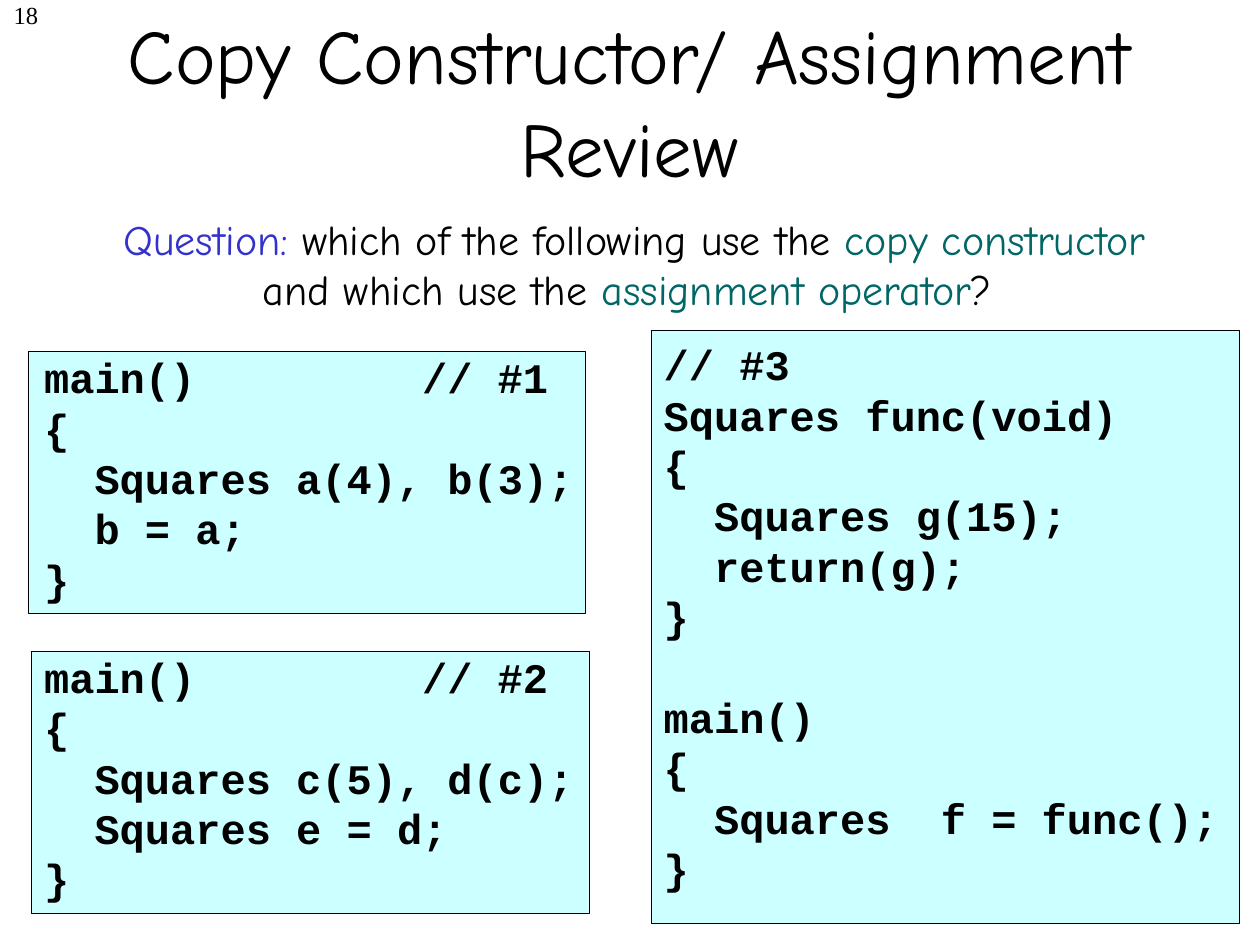
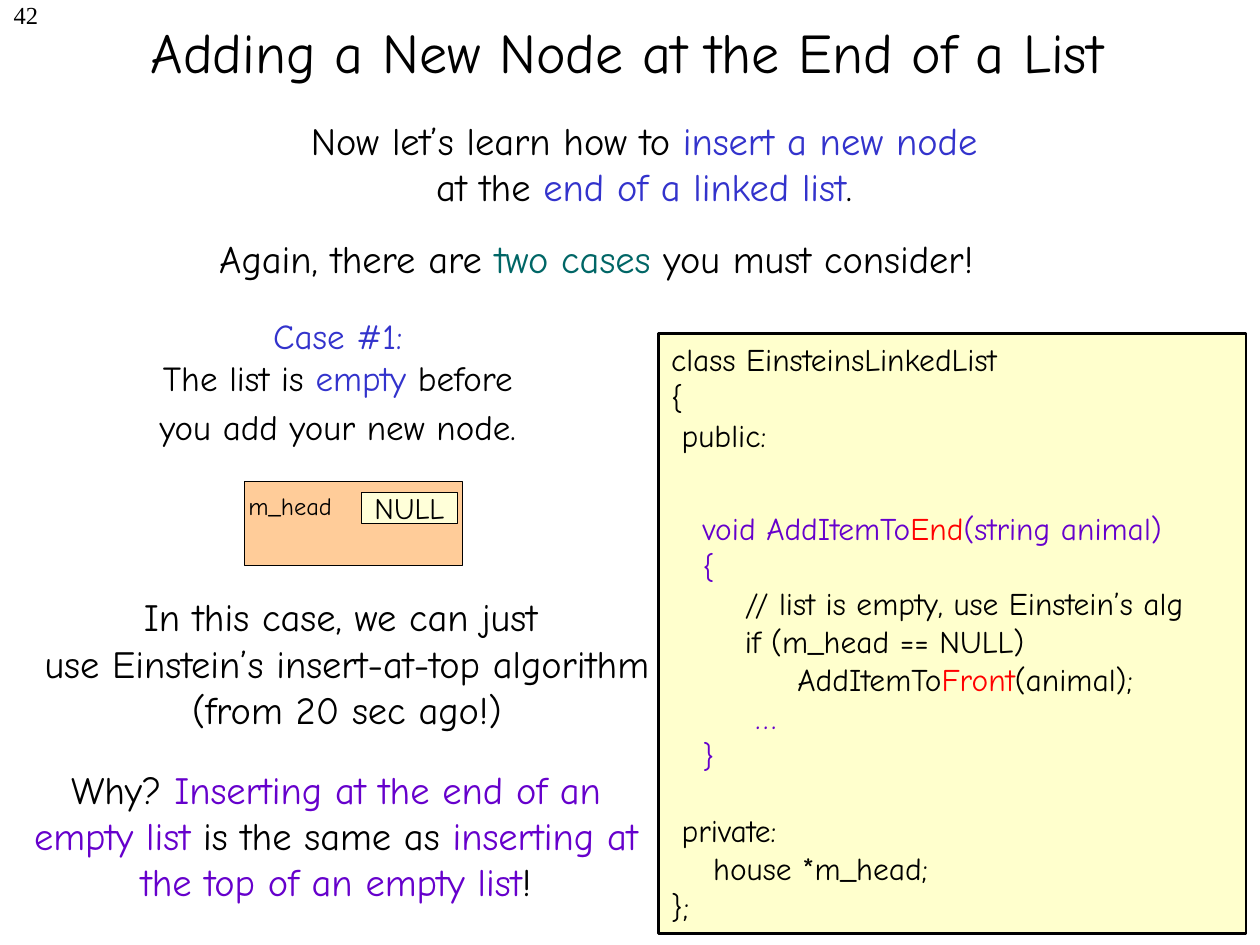
"""Build two lecture slides on copy construction and linked lists."""
from dataclasses import dataclass

from lxml.etree import SubElement
from pptx import Presentation
from pptx.dml.color import RGBColor as RGB
from pptx.enum.shapes import MSO_SHAPE as Shape
from pptx.enum.text import MSO_ANCHOR as Anchor, MSO_AUTO_SIZE as Fit, PP_ALIGN as Align
from pptx.oxml.ns import qn
from pptx.util import Cm, Pt


@dataclass(frozen=True)
class Style:
    """Type settings shared by the paragraphs of one text."""
    size: float
    font: str = "Comic Neue"
    bold: bool = False
    line: float = 0
    tabs: tuple = ()


@dataclass(frozen=True)
class Theme:
    """Colours and type styles of the slides."""
    ink: str = "000000"
    blue: str = "3333CC"
    teal: str = "006666"
    purple: str = "6600CC"
    red: str = "FF0000"
    cyan_fill: str = "CCFFFF"
    yellow_fill: str = "FFFFCD"
    orange_fill: str = "FFCC99"
    cream_fill: str = "FFFFD9"
    number: Style = Style(14, "Times New Roman")
    title: Style = Style(44)
    long_title: Style = Style(32)
    question: Style = Style(24)
    body: Style = Style(22)
    case: Style = Style(20)
    listing: Style = Style(18)
    value: Style = Style(17)
    label: Style = Style(14)
    code: Style = Style(24, "Courier New", True, 28.8, (2.54, 5.08, 7.62))


T = Theme()


def add_tabs(p, stops):
    """Give a paragraph left tab stops, in centimetres."""
    tabs = SubElement(p._p.get_or_add_pPr(), qn("a:tabLst"))
    for stop in stops:
        SubElement(tabs, qn("a:tab"), pos=str(Cm(stop)), algn="l")


def add_span(p, text, color):
    """Add coloured text, turning newlines into line breaks."""
    for i, piece in enumerate(text.split("\n")):
        if i:
            p.add_line_break()
        if piece:
            r = p.add_run()
            r.text = piece
            r.font.color.rgb = RGB.from_string(color)


def write(tf, paras, style, align=Align.LEFT, gaps=None):
    """Fill a frame; a paragraph is a string or a list of strings and (text, colour) pairs."""
    for i, spans in enumerate(paras):
        p = tf.add_paragraph() if i else tf.paragraphs[0]
        p.alignment = align
        if style.tabs:
            add_tabs(p, style.tabs)
        if style.line:
            p.line_spacing = Pt(style.line)
        p.space_before = Pt((gaps or {}).get(i, 0))
        p.font.name, p.font.size, p.font.bold = style.font, Pt(style.size), style.bold
        for span in [spans] if isinstance(spans, str) else spans:
            add_span(p, *((span, T.ink) if isinstance(span, str) else span))


def set_insets(tf, left, top, right=0.25):
    """Set the frame's margins in centimetres."""
    tf.margin_left, tf.margin_top, tf.margin_right = Cm(left), Cm(top), Cm(right)
    tf.margin_bottom = 0


def add_text(s, box, paras, style, align=Align.CENTER, gaps=None):
    """Add a wrapping text box."""
    tf = s.shapes.add_textbox(*map(Cm, box)).text_frame
    tf.word_wrap = True
    write(tf, paras, style, align, gaps)
    return tf


def add_panel(shapes, box, fill, paras, style, inset=(0.25, 0.13), line=0.25,
              align=Align.LEFT, anchor=Anchor.TOP, gaps=None):
    """Add a filled, outlined rectangle holding text."""
    sp = shapes.add_shape(Shape.RECTANGLE, *map(Cm, box))
    sp.shadow.inherit = False
    sp.fill.solid()
    sp.fill.fore_color.rgb = RGB.from_string(fill)
    sp.line.color.rgb = RGB.from_string(T.ink)
    sp.line.width = Pt(line)
    tf = sp.text_frame
    tf.word_wrap, tf.vertical_anchor = False, anchor
    set_insets(tf, *inset)
    write(tf, paras, style, align, gaps)


def add_slide(prs, number, title, box, style):
    """Add a slide with its number and its title."""
    s = prs.slides.add_slide(prs.slide_layouts[5])
    sp = s.shapes.title
    sp.left, sp.top, sp.width, sp.height = map(Cm, box)
    tf = sp.text_frame
    tf.auto_size, tf.vertical_anchor = Fit.NONE, Anchor.MIDDLE
    write(tf, [title], style, Align.CENTER)
    set_insets(add_text(s, (0, 0, 1.02, 0.8), [number], T.number, Align.RIGHT), 0, 0)
    return s


def add_review_slide(prs):
    """Ask which snippets copy-construct and which assign."""
    s = add_slide(prs, "18", "Copy Constructor/ Assignment Review",
                  (1.9, 0.43, 21.59, 3.18), T.title)
    add_text(s, (1.65, 4.17, 22.28, 2.29), [[
        ("Question:", T.blue), " which of the following use the ",
        ("copy constructor", T.teal), " and which use the ",
        ("assignment operator", T.teal), "? "]], T.question)
    func = ["// #3", "Squares func(void)", "{", "  Squares g(15);", "  return(g);", "}",
            "main()", "{", "  Squares\t f = func();", "}"]
    assign = ["main()\t\t// #1", "{", "  Squares\ta(4), b(3);", "  b = a;", "}"]
    construct = ["main()\t\t// #2", "{", "  Squares c(5), d(c);", "  Squares e = d;", "}"]
    snippets = [((13.13, 6.65, 11.86, 11.96), func, (0.25, 0.18), {6: T.code.line}),
                ((0.64, 13.13, 11.23, 5.28), construct, (0.25, 0), None),
                ((0.56, 7.09, 11.23, 5.28), assign, (0.33, 0), None)]
    for box, lines, inset, gaps in snippets:
        add_panel(s.shapes, box, T.cyan_fill, lines, T.code, inset, gaps=gaps)


def add_head_pointer(s):
    """Draw the list object with its null head pointer."""
    group = s.shapes.add_group_shape()
    add_panel(group.shapes, (4.93, 9.7, 4.39, 1.7), T.orange_fill, ["m_head"], T.label,
              (0.08, 0.2))
    add_panel(group.shapes, (7.29, 9.93, 1.93, 0.61), T.cream_fill, ["NULL"], T.value,
              (0, 0, 0), align=Align.CENTER, anchor=Anchor.MIDDLE)


def add_class_listing(s):
    """Show the class with its insertion method."""
    lines = ["class EinsteinsLinkedList", "{", " public:",
             [("   void AddItemTo", T.purple), ("End", T.red), ("(string animal)", T.purple)],
             [("   {", T.purple)],
             "       // list is empty, use Einstein’s alg",
             "       if (m_head == NULL)",
             ["            AddItemTo", ("Front", T.red), "(animal);"],
             [("        …", T.purple)], [("   }", T.purple)],
             " private:", "    house *m_head;", "};"]
    add_panel(s.shapes, (13.28, 6.73, 11.84, 12.09), T.yellow_fill, lines, T.listing,
              line=1.5, gaps={3: 31.5, 10: 21.6})


def add_list_slide(prs):
    """Explain appending a node to an empty list."""
    s = add_slide(prs, "42", "Adding a New Node at the End of a List",
                  (0.79, 0, 23.72, 2.06), T.long_title)
    add_text(s, (1.07, 2.24, 23.83, 2.11), [[
        "Now let’s learn how to ", ("insert a new node\n", T.blue),
        "at the ", ("end of a linked list", T.blue), "."]], T.body)
    add_text(s, (4.02, 4.62, 16, 1.19), [[
        "Again, there are ", ("two cases", T.teal), " you must consider!"]], T.body)
    add_text(s, (0.76, 6.22, 12.34, 2.97), [
        [("Case #1: \n", T.blue), "The list is ", ("empty", T.blue), " before "],
        "you add your new node. "], T.case, gaps={1: 4})
    add_head_pointer(s)
    add_text(s, (0.58, 11.84, 12.83, 3.05), [
        "In this case, we can just \nuse Einstein’s insert-at-top algorithm\n"
        "(from 20 sec ago!)"], T.body)
    add_text(s, (0.3, 15.32, 12.95, 3.05), [[
        "Why? ", ("Inserting at the end of an empty list", T.purple), " is the same as ",
        ("inserting at the top of an empty list", T.purple), "!"]], T.body)
    add_class_listing(s)


def main():
    """Build and save the presentation."""
    prs = Presentation()
    prs.slide_width, prs.slide_height = Cm(25.4), Cm(19.05)
    add_review_slide(prs)
    add_list_slide(prs)
    prs.save("out.pptx")


if __name__ == "__main__":
    main()
